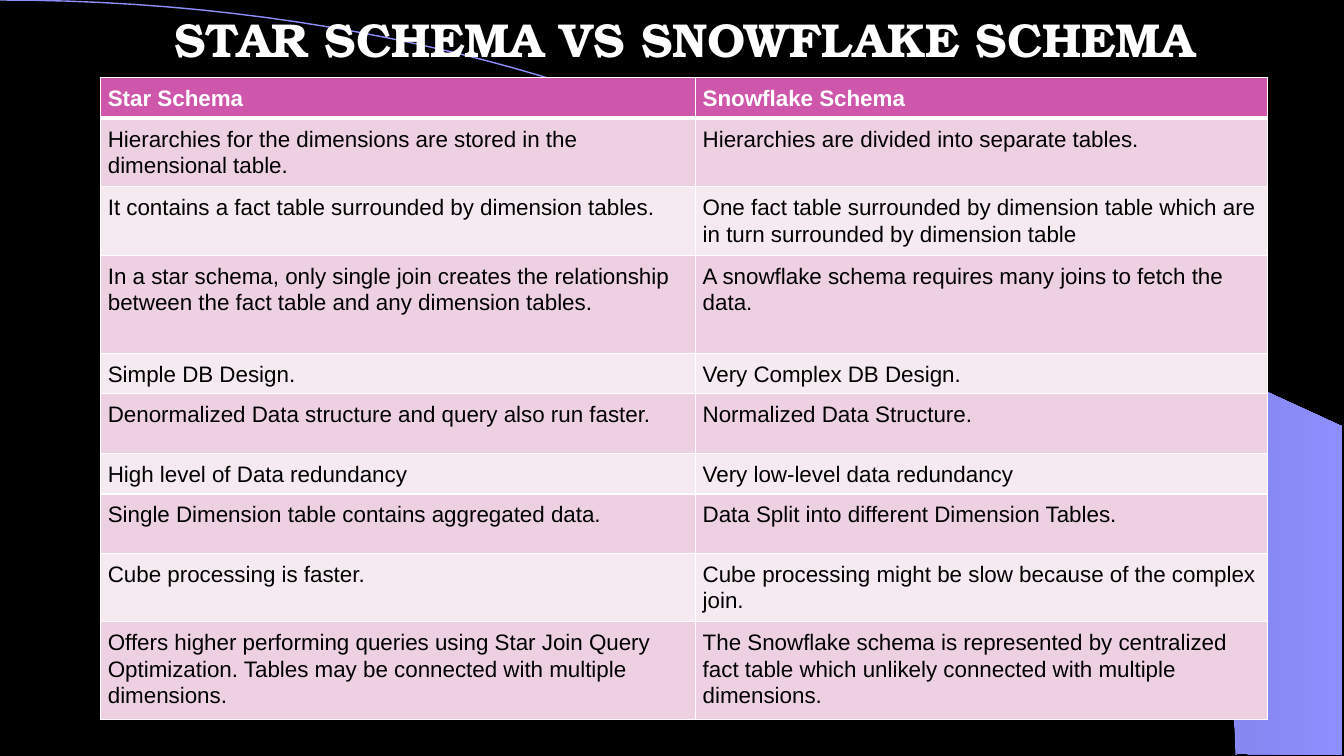
import pptx
import pptx.util
import pptx.dml.color
import pptx.enum.text
import pptx.oxml
import pptx.oxml.ns

Inches, Pt = pptx.util.Inches, pptx.util.Pt
RGBColor = pptx.dml.color.RGBColor

BLACK = RGBColor(0x00, 0x00, 0x00)
WHITE = RGBColor(0xFF, 0xFF, 0xFF)
PINK = RGBColor(0xCE, 0x57, 0xAB)
BAND_DARK = RGBColor(0xED, 0xD1, 0xE2)
BAND_LIGHT = RGBColor(0xF6, 0xEA, 0xF1)
INDIGO = RGBColor(0x66, 0x66, 0xB5)
LILAC = RGBColor(0x8E, 0x8E, 0xFD)

COLUMN_WIDTHS = [5.9, 5.67]
COMPARISON = [  # row height, star schema, snowflake schema
    (0.4, "Star Schema", "Snowflake Schema"),
    (0.68, "Hierarchies for the dimensions are stored in the dimensional table.",
     "Hierarchies are divided into separate tables."),
    (0.68, "It contains a fact table surrounded by dimension tables.",
     "One fact table surrounded by dimension table which are in turn surrounded by dimension table"),
    (0.97, "In a star schema, only single join creates the relationship between the fact table "
     "and any dimension tables.",
     "A snowflake schema requires many joins to fetch the data."),
    (0.4, "Simple DB Design.", "Very Complex DB Design."),
    (0.59, "Denormalized Data structure and query also run faster.", "Normalized Data Structure."),
    (0.4, "High level of Data redundancy", "Very low-level data redundancy"),
    (0.59, "Single Dimension table contains aggregated data.",
     "Data Split into different Dimension Tables."),
    (0.68, "Cube processing is faster.",
     "Cube processing might be slow because of the complex join."),
    (0.97, "Offers higher performing queries using Star Join Query Optimization. "
     "Tables may be connected with multiple dimensions.",
     "The Snowflake schema is represented by centralized fact table which unlikely connected "
     "with multiple dimensions."),
]
WEDGE = [(12.27, 7.48), (13.31, 7.49), (13.31, 4.23), (7.86, 1.73), (8.32, 1.99), (8.7, 2.22),
         (9.13, 2.5), (9.55, 2.8), (10.16, 3.3), (10.7, 3.84), (11.1, 4.31), (11.44, 4.79),
         (11.71, 5.28), (11.91, 5.72), (12.04, 6.09), (12.17, 6.56), (12.23, 6.96)]
ARC_WIDTH, ARC_HEIGHT, ARC_STEPS = 12.26, 7.49, 60


def add_outline(points, close):
    corners = [(Inches(x), Inches(y)) for x, y in points]
    builder = slide.shapes.build_freeform(*corners[0])
    builder.add_line_segments(corners[1:], close=close)
    outline = builder.convert_to_shape()
    outline.shadow.inherit = False
    return outline


def add_border(cell, side, points):
    """Draw a white border on side L, R, T or B of a cell; call before filling the cell."""
    cell._tc.get_or_add_tcPr().append(pptx.oxml.parse_xml(
        f'<a:ln{side} {pptx.oxml.ns.nsdecls("a")} w="{Pt(points)}">'
        f'<a:solidFill><a:srgbClr val="{WHITE}"/></a:solidFill></a:ln{side}>'))


deck = pptx.Presentation()
deck.slide_width, deck.slide_height = Inches(13.33), Inches(7.5)
slide = deck.slides.add_slide(deck.slide_layouts[5])
slide.background.fill.solid()
slide.background.fill.fore_color.rgb = BLACK

# Backdrop
wedge = add_outline(WEDGE, close=True)
wedge.line.fill.background()
wedge.fill.gradient()
wedge.fill.gradient_angle = 0
for stop, color, position in zip(wedge.fill.gradient_stops, (INDIGO, LILAC), (0, 1)):
    stop.color.rgb = color
    stop.position = position

# Cubic curve with control points (0, 0), (6.77, 0), (width, 3.35), (width, height)
curve = []
for step in range(ARC_STEPS + 1):
    t = step / ARC_STEPS
    u = 1 - t
    curve.append((3 * u * u * t * 6.77 + (3 * u * t * t + t ** 3) * ARC_WIDTH,
                  3 * u * t * t * 3.35 + t ** 3 * ARC_HEIGHT))
arc = add_outline(curve, close=False)
arc.fill.background()
arc.line.color.rgb = LILAC
arc.line.width = Pt(1)

# Title, in front of the backdrop
title = slide.shapes.title
slide.shapes._spTree.append(title._element)
title.left, title.top, title.width, title.height = map(Inches, (1.13, 0, 11.32, 0.83))
title.text_frame.text = "STAR SCHEMA VS SNOWFLAKE SCHEMA"
title.text_frame.word_wrap = True
title.text_frame.auto_size = pptx.enum.text.MSO_AUTO_SIZE.NONE
title.text_frame.vertical_anchor = pptx.enum.text.MSO_ANCHOR.MIDDLE
heading = title.text_frame.paragraphs[0]
heading.alignment = pptx.enum.text.PP_ALIGN.CENTER
heading.line_spacing = 0.9
heading.font.name = "TeX Gyre Bonum"
heading.font.size = Pt(34)
heading.font.bold = True
heading.font.color.rgb = WHITE

# Comparison table
comparison = slide.shapes.add_table(
    len(COMPARISON), len(COLUMN_WIDTHS), Inches(1), Inches(0.77),
    Inches(sum(COLUMN_WIDTHS)), Inches(sum(row[0] for row in COMPARISON))).table
for column, width in zip(comparison.columns, COLUMN_WIDTHS):
    column.width = Inches(width)
for r, (height, *texts) in enumerate(COMPARISON):
    comparison.rows[r].height = Inches(height)
    is_header = r == 0
    for c, text in enumerate(texts):
        cell = comparison.cell(r, c)
        cell.margin_left = cell.margin_right = Inches(0.07)
        cell.margin_top = cell.margin_bottom = Inches(0.07)
        for side in "LRTB":
            under_header = (r, side) in ((0, "B"), (1, "T"))
            add_border(cell, side, 3 if under_header else 1)
        cell.fill.solid()
        cell.fill.fore_color.rgb = PINK if is_header else BAND_DARK if r % 2 else BAND_LIGHT
        cell.text_frame.text = text
        entry = cell.text_frame.paragraphs[0]
        entry.line_spacing = 1.07
        entry.font.name = "Arial"
        entry.font.size = Pt(16)
        entry.font.bold = is_header
        entry.font.color.rgb = WHITE if is_header else BLACK

deck.save("out.pptx")
